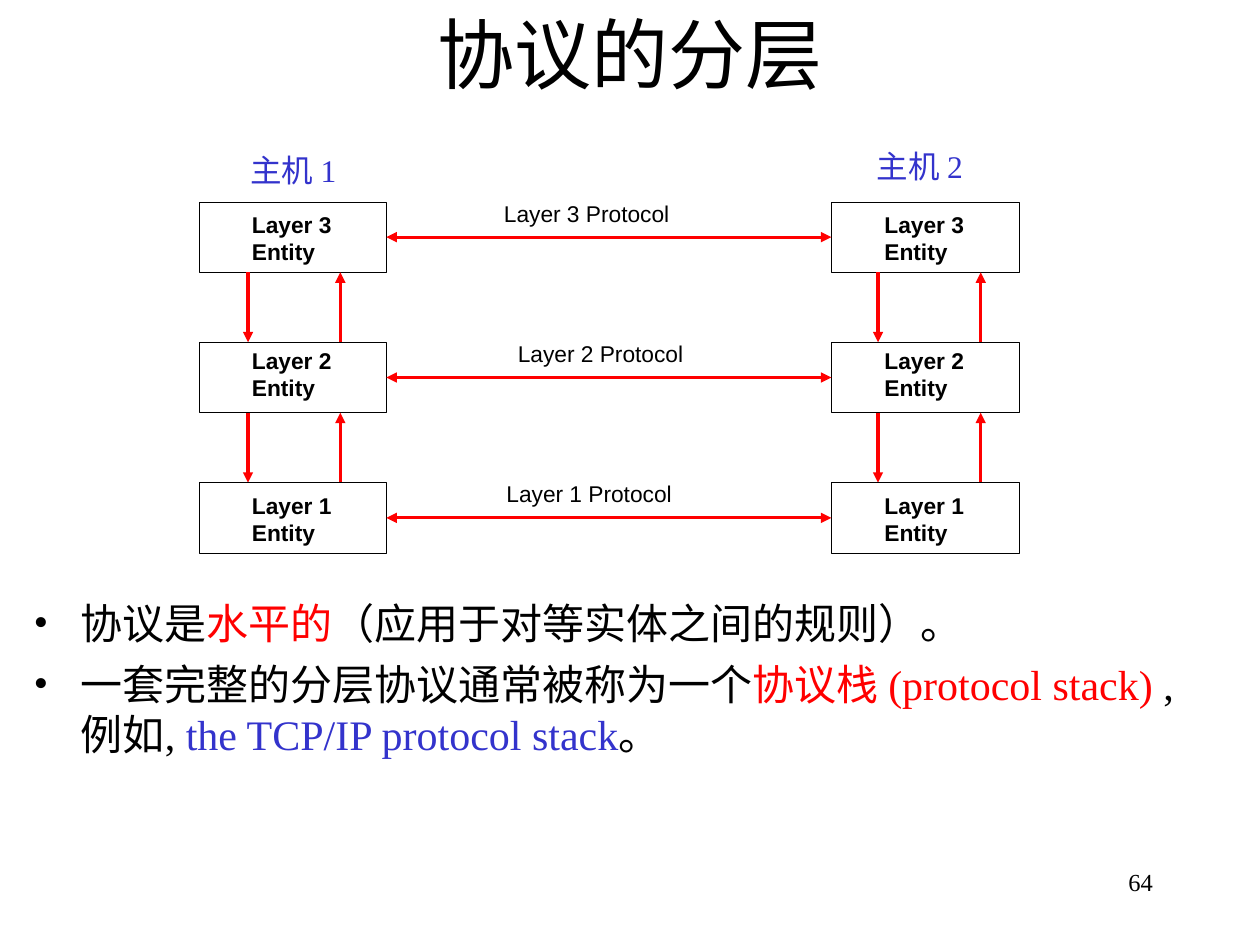
"""Build a slide on protocol layering between two hosts."""
from lxml import etree
from pptx import Presentation
from pptx import util as u
from pptx.dml.color import RGBColor
from pptx.enum import shapes, text
from pptx.oxml.ns import qn

BLACK = RGBColor(0, 0, 0)
WHITE = RGBColor(255, 255, 255)
RED = RGBColor(255, 0, 0)
BLUE = RGBColor(0x33, 0x33, 0xCC)
SERIF, SANS = "Times New Roman", "Arial"
LEFT, MID = text.PP_ALIGN.LEFT, text.PP_ALIGN.CENTER

deck = Presentation()
deck.slide_width, deck.slide_height = u.Cm(25.4), u.Cm(19.05)
slide = deck.slides.add_slide(deck.slide_layouts[6])


def write(x, y, w, h, paras, size, face, bold=False, pad=(0, 0), wrap=False, side=LEFT):
    box = slide.shapes.add_textbox(u.Cm(x), u.Cm(y), u.Cm(w), u.Cm(h))
    frame = box.text_frame
    frame.word_wrap = wrap
    frame.margin_left = frame.margin_right = u.Cm(pad[0])
    frame.margin_top = frame.margin_bottom = u.Cm(pad[1])
    for i, runs in enumerate(paras):
        para = frame.paragraphs[0] if i == 0 else frame.add_paragraph()
        para.alignment = side
        for words, color in runs:
            run = para.add_run()
            run.text = words
            run.font.size = u.Pt(size)
            run.font.name = face
            run.font.bold = bold
            run.font.color.rgb = color
    return frame


def arrow(x1, y1, x2, y2, ends):
    line = slide.shapes.add_connector(
        shapes.MSO_CONNECTOR.STRAIGHT, u.Cm(x1), u.Cm(y1), u.Cm(x2), u.Cm(y2))
    line.line.color.rgb = RED
    line.line.width = u.Pt(1.75)
    stroke = line.line._get_or_add_ln()
    for end in ends:
        etree.SubElement(stroke, qn(f"a:{end}"), type="triangle", w="med", len="med")
    etree.SubElement(line._element.spPr, qn("a:effectLst"))


title = write(1.9, -0.2, 21.6, 2.54, [[("协议的分层", BLACK)]], 44, SERIF,
              pad=(0.25, 0.13), wrap=True, side=MID)
title.vertical_anchor = text.MSO_ANCHOR.MIDDLE

points = [
    [("协议是", BLACK), ("水平的", RED), ("（应用于对等实体之间的规则）。", BLACK)],
    [("一套完整的分层协议通常被称为一个", BLACK), ("协议栈 (protocol stack)", RED),
     (" , 例如, ", BLACK), ("the TCP/IP protocol stack", BLUE), ("。", BLACK)],
]
body = write(0.43, 11.91, 24.28, 5.64, points, 24, SERIF, pad=(0.25, 0.13), wrap=True)
for para in body.paragraphs:
    props = para._p.get_or_add_pPr()
    props.set("marL", str(u.Cm(0.95)))
    props.set("indent", str(u.Cm(-0.95)))
    tint = etree.SubElement(props, qn("a:buClr"))
    etree.SubElement(tint, qn("a:srgbClr"), val=str(BLACK))
    etree.SubElement(props, qn("a:buFont"), typeface=SERIF)
    etree.SubElement(props, qn("a:buChar"), char="•")
body.paragraphs[1].space_before = u.Pt(6)

WIDE, HIGH, STEP, TOP = 3.78, 1.42, 2.83, 4.07
hosts = [("主机 1", 4.01, 5, 3.05, 5, 6.86),
         ("主机 2", 16.76, 17.63, 2.97, 17.7, 19.77)]
layers = [(3, 0.17, 10.16), (2, 0.09, 10.44), (1, 0.18, 10.21)]

for host, left, tag_x, tag_y, down, up in hosts:
    write(tag_x, tag_y, 2.3, 0.76, [[(host, BLUE)]], 18, SERIF, pad=(0.05, 0))
    for row, (layer, drop, _) in enumerate(layers):
        y = TOP + row * STEP
        rect = slide.shapes.add_shape(
            shapes.MSO_SHAPE.RECTANGLE, u.Cm(left), u.Cm(y), u.Cm(WIDE), u.Cm(HIGH))
        rect.shadow.inherit = False
        rect.fill.solid()
        rect.fill.fore_color.rgb = WHITE
        rect.line.color.rgb = BLACK
        rect.line.width = u.Pt(0.25)
        name = [[(f"Layer {layer}", BLACK)], [("Entity", BLACK)]]
        write(left + 1.07, y + drop, 1.9, 1.09, name, 13, SANS, bold=True)
        if layer > 1:
            arrow(down, y + HIGH, down, y + STEP, ["tailEnd"])
            arrow(up, y + STEP, up, y + HIGH, ["tailEnd"])

for row, (layer, _, x) in enumerate(layers):
    y = TOP + row * STEP
    arrow(hosts[0][1] + WIDE, y + HIGH / 2, hosts[1][1], y + HIGH / 2,
          ["headEnd", "tailEnd"])
    write(x, y - 0.05, 3.5, 0.56, [[(f"Layer {layer} Protocol", BLACK)]], 13, SANS)

write(18.21, 17.35, 5.28, 1.27, [[("64", BLACK)]], 14, SERIF,
      pad=(0.25, 0.13), wrap=True, side=text.PP_ALIGN.RIGHT)

deck.save("out.pptx")
